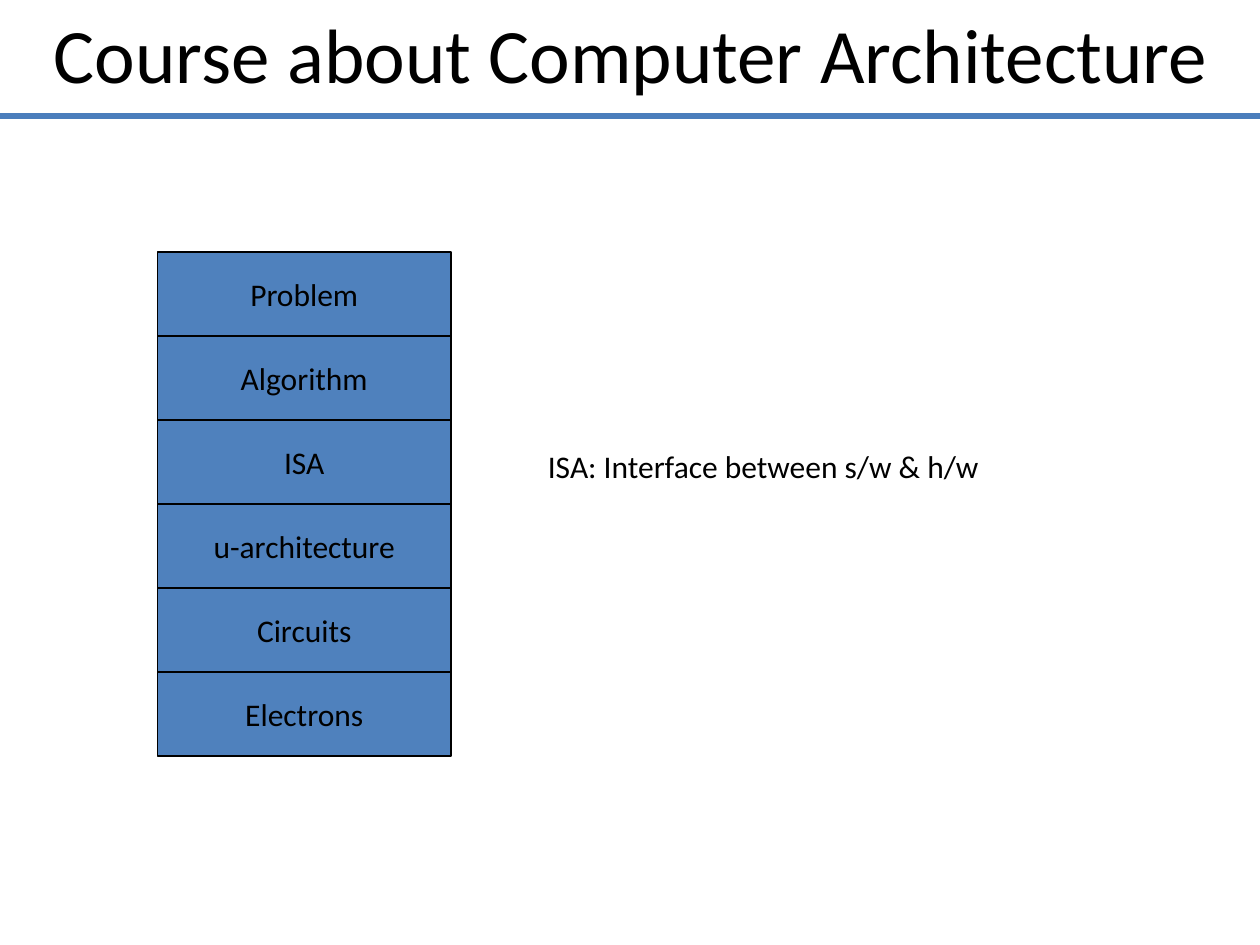
from dataclasses import dataclass

from lxml.etree import SubElement
from pptx import Presentation
from pptx.dml.color import RGBColor
from pptx.enum.shapes import MSO_CONNECTOR, MSO_SHAPE
from pptx.enum.text import MSO_ANCHOR, MSO_AUTO_SIZE, PP_ALIGN
from pptx.oxml.ns import qn
from pptx.util import Inches, Pt


@dataclass(frozen=True)
class Theme:
    """Colours, font and type sizes of the slide."""
    font: str = "Calibri"
    ink: RGBColor = RGBColor(0, 0, 0)
    layer_fill: RGBColor = RGBColor(0x4F, 0x81, 0xBD)
    rule: RGBColor = RGBColor(0x4B, 0x7E, 0xBC)
    title_size: Pt = Pt(44)
    body_size: Pt = Pt(18)


THEME = Theme()
LAYERS = ["Problem", "Algorithm", "ISA", "u-architecture", "Circuits", "Electrons"]
STACK_LEFT, STACK_TOP, STACK_WIDTH, STACK_HEIGHT = 1.25, 2, 2.33, 4


def write_text(shape, text, size, align=PP_ALIGN.LEFT):
    """Put one styled run into the shape's first paragraph."""
    paragraph = shape.text_frame.paragraphs[0]
    paragraph.alignment = align
    run = paragraph.add_run()
    run.text = text
    run.font.name = THEME.font
    run.font.size = size
    run.font.color.rgb = THEME.ink


def add_text(slide, text, left, top, width, height, size, wrap=True):
    """Add a left-aligned text box and return it."""
    box = slide.shapes.add_textbox(Inches(left), Inches(top), Inches(width), Inches(height))
    box.text_frame.word_wrap = wrap
    write_text(box, text, size)
    return box


def add_rule(slide, top, width):
    """Draw the horizontal rule under the title."""
    rule = slide.shapes.add_connector(
        MSO_CONNECTOR.STRAIGHT, 0, Inches(top), Inches(width), Inches(top))
    rule.line.color.rgb = THEME.rule
    rule.line.width = Pt(3)
    SubElement(rule._element.spPr, qn("a:effectLst"))


def add_layer(slide, text, top, height):
    """Add one box of the abstraction stack."""
    layer = slide.shapes.add_shape(
        MSO_SHAPE.RECTANGLE, Inches(STACK_LEFT), Inches(top),
        Inches(STACK_WIDTH), Inches(height))
    layer.shadow.inherit = False
    layer.fill.solid()
    layer.fill.fore_color.rgb = THEME.layer_fill
    layer.line.color.rgb = THEME.ink
    layer.line.width = Pt(0.75)
    layer.text_frame.word_wrap = False
    layer.text_frame.vertical_anchor = MSO_ANCHOR.MIDDLE
    write_text(layer, text, THEME.body_size, PP_ALIGN.CENTER)


def main():
    """Build and save the slide."""
    presentation = Presentation()
    presentation.slide_width = Inches(10)
    presentation.slide_height = Inches(7.5)
    slide = presentation.slides.add_slide(presentation.slide_layouts[6])

    add_rule(slide, 0.92, 10)
    add_text(slide, "Course about Computer Architecture ",
             0.33, 0, 9.67, 0.96, THEME.title_size)

    layer_height = STACK_HEIGHT / len(LAYERS)
    for index, name in enumerate(LAYERS):
        add_layer(slide, name, STACK_TOP + index * layer_height, layer_height)

    note = add_text(slide, "ISA: Interface between s/w & h/w",
                    4.25, 3.5, 3.9, 0.4, THEME.body_size, wrap=False)
    note.text_frame.auto_size = MSO_AUTO_SIZE.SHAPE_TO_FIT_TEXT

    presentation.save("out.pptx")


main()
